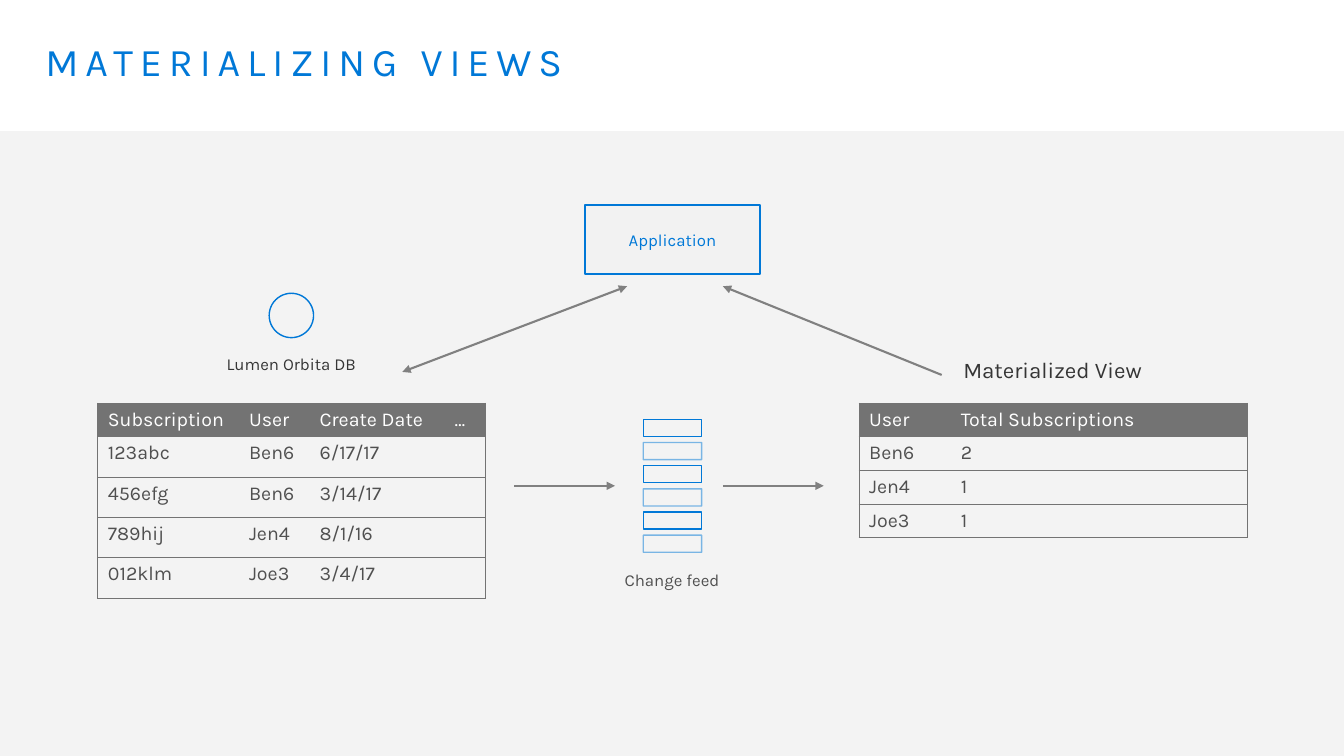
from lxml.etree import SubElement as SubEl
from pptx import Presentation
from pptx.dml.color import RGBColor
from pptx.enum.shapes import MSO_CONNECTOR as Conn, MSO_SHAPE as Shape
from pptx.enum.text import MSO_ANCHOR as Anchor, PP_ALIGN as Align
from pptx.oxml.ns import qn
from pptx.util import Inches, Pt

FONT = "Karla"
BLUE = RGBColor(0x00, 0x78, 0xD7)
WHITE = RGBColor(0xFF, 0xFF, 0xFF)
PALE = RGBColor(0xF2, 0xF2, 0xF2)
GREY = RGBColor(0x73, 0x73, 0x73)
ARROW = RGBColor(0x80, 0x80, 0x80)
DARK = RGBColor(0x35, 0x35, 0x35)
BODY = RGBColor(0x50, 0x50, 0x50)

SUBS = [
    ["Subscription", "User", "Create Date", "…"],
    ["123abc", "Ben6", "6/17/17", ""],
    ["456efg", "Ben6", "3/14/17", ""],
    ["789hij", "Jen4", "8/1/16", ""],
    ["012klm", "Joe3", "3/4/17", ""],
]
TOTALS = [
    ["User", "Total Subscriptions"],
    ["Ben6", "2"],
    ["Jen4", "1"],
    ["Joe3", "1"],
]


def style(frame, size, color, align=Align.LEFT, gap=None):
    """Format the only paragraph of a frame; gap is its line spacing."""
    para = frame.paragraphs[0]
    para.alignment = align
    if gap:
        para.line_spacing = gap
    for run in para.runs:
        run.font.name = FONT
        run.font.size = Pt(size)
        run.font.color.rgb = color


def add_label(slide, text, box, size, color, pad=(0.1, 0.05),
              align=Align.CENTER, gap=None):
    frame = slide.shapes.add_textbox(*map(Inches, box)).text_frame
    frame.word_wrap = True
    frame.margin_left = frame.margin_right = Inches(pad[0])
    frame.margin_top = frame.margin_bottom = Inches(pad[1])
    frame.text = text
    style(frame, size, color, align, gap)
    return frame


def fade(fill, percent):
    """Give a solid fill the stated opacity."""
    for color in fill.iter(qn("a:srgbClr")):
        SubEl(color, qn("a:alpha"), val=str(percent * 1000))


def add_form(slide, kind, box, fill=None, line=None, width=1):
    form = slide.shapes.add_shape(kind, *map(Inches, box))
    form.shadow.inherit = False
    if fill:
        form.fill.solid()
        form.fill.fore_color.rgb = fill
    else:
        form.fill.background()
    if line:
        form.line.color.rgb = line
        form.line.width = Pt(width)
    else:
        form.line.fill.background()
    return form


def add_arrow(slide, start, end, both=False):
    arrow = slide.shapes.add_connector(
        Conn.STRAIGHT, *map(Inches, start + end))
    arrow.line.color.rgb = ARROW
    arrow.line.width = Pt(1.5)
    line = arrow.line._get_or_add_ln()
    if both:
        SubEl(line, qn("a:headEnd"), type="triangle")
    SubEl(line, qn("a:tailEnd"), type="triangle")
    SubEl(arrow._element.spPr, qn("a:effectLst"))


def set_edges(cell, shown):
    """Draw the cell borders listed in shown and clear the others."""
    props = cell._tc.get_or_add_tcPr()
    for side in "LRTB":
        edge = SubEl(props, qn("a:ln" + side), w=str(Pt(0.75)))
        if side in shown:
            fill = SubEl(edge, qn("a:solidFill"))
            SubEl(fill, qn("a:srgbClr"), val=str(GREY))
        else:
            SubEl(edge, qn("a:noFill"))


def add_grid(slide, data, left, top, widths, head, step):
    """Add a table; head and step are the header and body row heights."""
    heights = [head] + [step] * (len(data) - 1)
    table = slide.shapes.add_table(
        len(data), len(widths), Inches(left), Inches(top),
        Inches(sum(widths)), Inches(sum(heights))).table
    for col, width in zip(table.columns, widths):
        col.width = Inches(width)
    last = len(widths) - 1
    for r, (row, height) in enumerate(zip(data, heights)):
        table.rows[r].height = Inches(height)
        for c, text in enumerate(row):
            cell = table.cell(r, c)
            set_edges(cell, "TB" + "L" * (c == 0) + "R" * (c == last))
            if r == 0:
                cell.fill.solid()
                cell.fill.fore_color.rgb = GREY
            else:
                cell.fill.background()
            cell.text_frame.text = text
            style(cell.text_frame, 14, BODY if r else WHITE)


def add_feed(slide):
    for i in range(6):
        bar = add_form(slide, Shape.RECTANGLE,
                       (6.38, 4.16 + 0.23 * i, 0.58, 0.17), line=BLUE)
        if i % 2:
            fade(bar.line._get_or_add_ln(), 50)
    add_label(slide, "Change feed", (6.04, 5.6, 1.25, 0.3), 12, BODY)


def main():
    deck = Presentation()
    deck.slide_width, deck.slide_height = Inches(13.33), Inches(7.5)
    slide = deck.slides.add_slide(deck.slide_layouts[6])

    panel = add_form(slide, Shape.RECTANGLE, (0, 1.3, 13.33, 6.2), PALE)
    fade(panel._element.spPr, 89)
    title = add_label(slide, "MATERIALIZING VIEWS", (0.29, 0.32, 12.75, 0.98),
                      28, BLUE, (0.16, 0.1), Align.LEFT, 0.9)
    title.paragraphs[0].runs[0].font._element.set("spc", "500")

    app = add_form(slide, Shape.RECTANGLE, (5.8, 2.03, 1.74, 0.69),
                   PALE, BLUE, 1.5)
    app.text_frame.text = "Application"
    app.text_frame.vertical_anchor = Anchor.MIDDLE
    style(app.text_frame, 12, BLUE, Align.CENTER)

    add_form(slide, Shape.OVAL, (2.67, 2.91, 0.44, 0.44), line=BLUE)
    add_label(slide, "Lumen Orbita DB", (1.79, 3.44, 2.2, 0.5),
              12, DARK, (0.2, 0.16), gap=0.9)
    add_label(slide, "Materialized View", (9.34, 3.44, 2.2, 0.56),
              16, DARK, (0.2, 0.16), gap=0.9)
    add_grid(slide, SUBS, 0.97, 4, [1.4, 0.7, 1.34, 0.41], 0.33, 0.36)
    add_grid(slide, TOTALS, 8.52, 4, [0.91, 2.94], 0.33, 0.33)
    add_feed(slide)

    add_arrow(slide, (6.22, 2.84), (3.99, 3.69), both=True)
    add_arrow(slide, (9.34, 3.72), (7.17, 2.84))
    for left in (5.1, 7.17):
        add_arrow(slide, (left, 4.82), (left + 1, 4.82))

    deck.save("out.pptx")


if __name__ == "__main__":
    main()
